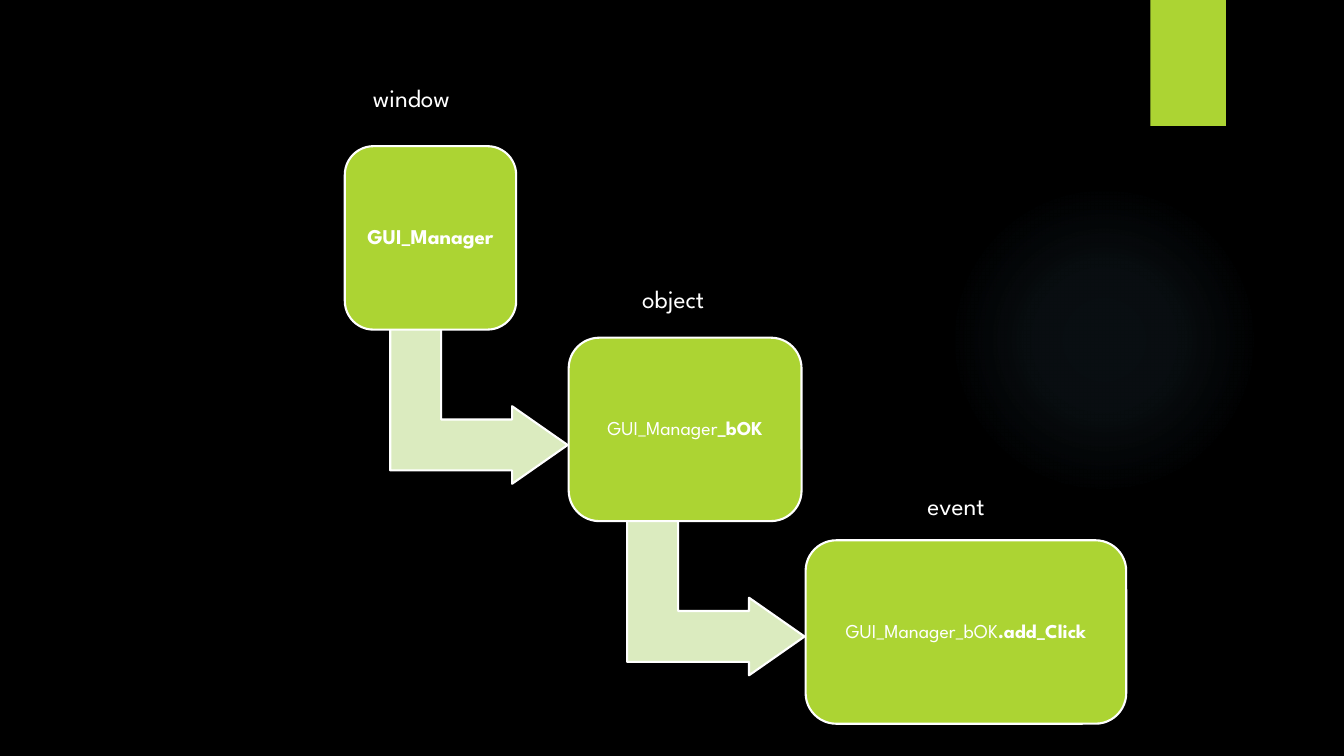
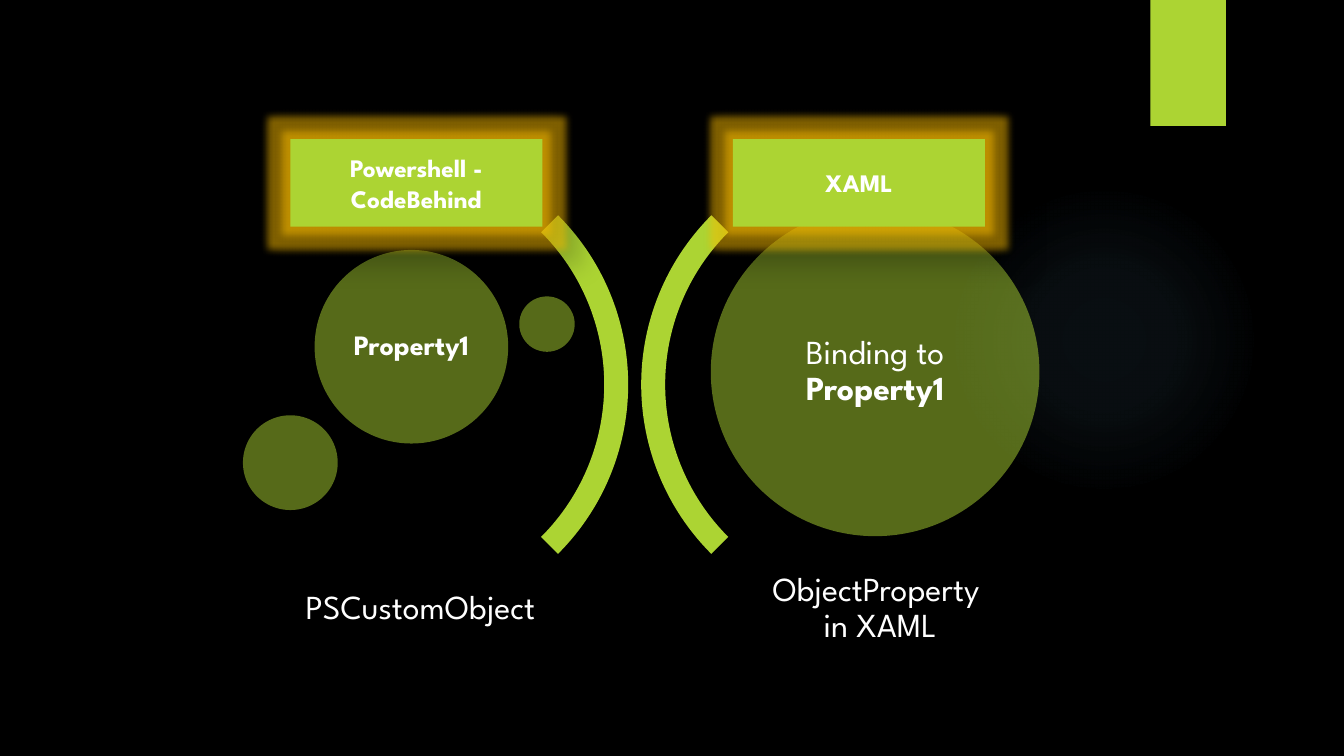
"""Builds two dark slides: a naming cascade and a property binding diagram."""
from lxml import etree
from pptx import Presentation
from pptx import util as u
from pptx.dml.color import RGBColor
from pptx.enum import shapes, text
from pptx.oxml import ns

PX = 9144
SLIDE_SIZE = (1333, 750)
FONT = "League Spartan"
BLACK = RGBColor(0x00, 0x00, 0x00)
WHITE = RGBColor(0xFF, 0xFF, 0xFF)
LIME = RGBColor(0xAC, 0xD4, 0x33)
PALE_LIME = RGBColor(0xDB, 0xEB, 0xBF)
SKY = RGBColor(0x7A, 0xC4, 0xF0)
GOLD = RGBColor(0xFF, 0xC0, 0x00)
MSO = shapes.MSO_SHAPE

HALO = (941, 183, 308, 308)
HALO_STOPS = [(0, 7), (36, 6), (69, 0)]
TAB = (1141, 0, 75, 125)

STEPS = [
    ((342, 145, 170, 182), 15, [("GUI_Manager", True)]),
    ((564, 335, 231, 182), 14, [("GUI_Manager", False), ("_bOK", True)]),
    ((799, 536, 318, 182), 14, [("GUI_Manager_bOK", False), (".add_Click", True)]),
]
STEP_LABELS = [
    ((360, 77, 117, 40), "window"),
    ((627, 276, 100, 40), "object"),
    ((910, 482, 91, 40), "event"),
]
ARROW_SIZE = (154, 176)
ARROW_ADJ = (0.328, 0.25, 0.358)

ARCS = [((148, 144, 475, 475), 90), ((636, 144, 475, 475), 270)]
ARC_ADJ = (135, 189, 0.05)
CIRCLES = [
    ((705, 206, 326), 24, 0, [("Binding to ", False), ("Property1", True)]),
    ((312, 248, 192), 20, 8, [("Property1", True)]),
    ((241, 412, 94), 0, 0, []),
    ((515, 294, 55), 0, 0, []),
]
CAPTIONS = [
    ((693, 556, 360, 95), "ObjectProperty \nin XAML"),
    ((237, 556, 360, 95), "PSCustomObject"),
]
HEADERS = [
    ((288, 138, 250, 87), "Powershell -\nCodeBehind"),
    ((727, 138, 250, 87), "XAML"),
]


def add_xml(parent, tag, **attrs):
    el = etree.SubElement(parent, ns.qn(tag))
    for name, value in attrs.items():
        el.set(name, str(value))
    return el


def add_color(parent, color, percent):
    clr = add_xml(parent, "a:srgbClr", val=color)
    add_xml(clr, "a:alpha", val=percent * 1000)


def add_shape(slide, kind, box, fill=LIME, line=None, adj=(), rotation=0):
    sp = slide.shapes.add_shape(kind, *(n * PX for n in box))
    sp.shadow.inherit = False
    sp.rotation = rotation
    sp.fill.solid()
    sp.fill.fore_color.rgb = fill
    if line is None:
        sp.line.fill.background()
    else:
        sp.line.color.rgb = line
        sp.line.width = u.Pt(1.5)
    for i, value in enumerate(adj):
        sp.adjustments[i] = value
    return sp


def add_textbox(slide, box):
    return slide.shapes.add_textbox(*(n * PX for n in box))


def write(sp, runs, size, inset=None, spacing=None,
          align=text.PP_ALIGN.CENTER, anchor=text.MSO_ANCHOR.MIDDLE):
    tf = sp.text_frame
    tf.word_wrap = True
    tf.vertical_anchor = anchor
    if inset is not None:
        tf.margin_left = tf.margin_top = tf.margin_right = tf.margin_bottom = inset * PX
    p = tf.paragraphs[0]
    p.alignment = align
    if spacing:
        p.line_spacing = spacing
    for content, bold in runs:
        for i, part in enumerate(content.split("\n")):
            if i:
                p.add_line_break()
            r = p.add_run()
            r.text = part
            r.font.name = FONT
            r.font.size = u.Pt(size)
            r.font.bold = bold
            r.font.color.rgb = WHITE


def set_halo_fill(sp):
    solid = sp.fill.fore_color and sp._element.spPr.find(ns.qn("a:solidFill"))
    grad = etree.Element(ns.qn("a:gradFill"), rotWithShape="1")
    stops = add_xml(grad, "a:gsLst")
    for pos, alpha in HALO_STOPS:
        add_color(add_xml(stops, "a:gs", pos=pos * 1000), SKY, alpha)
    circle = add_xml(grad, "a:path", path="circle")
    add_xml(circle, "a:fillToRect", l=50000, t=50000, r=50000, b=50000)
    solid.getparent().replace(solid, grad)


def add_glow(sp):
    effects = sp._element.spPr.find(ns.qn("a:effectLst"))
    add_color(add_xml(effects, "a:glow", rad=u.Pt(11)), GOLD, 50)
    shadow = add_xml(effects, "a:outerShdw", blurRad=u.Pt(15), dist=u.Pt(18), dir=45 * 60000)
    add_color(shadow, BLACK, 30)


def add_slide(prs):
    s = prs.slides.add_slide(prs.slide_layouts[6])
    set_halo_fill(add_shape(s, MSO.OVAL, HALO))
    add_shape(s, MSO.RECTANGLE, TAB)
    return s


def build_cascade(prs):
    s = add_slide(prs)
    w, h = ARROW_SIZE
    for (box, _, _), (target, _, _) in zip(STEPS, STEPS[1:]):
        center_x = target[0] - 1 - h // 2
        center_y = box[1] + box[3] - 1 + w // 2
        add_shape(s, MSO.BENT_UP_ARROW, (center_x - w // 2, center_y - h // 2, w, h),
                  PALE_LIME, WHITE, ARROW_ADJ, 90)
    for box, size, runs in STEPS:
        sp = add_shape(s, MSO.ROUNDED_RECTANGLE, box, line=WHITE, adj=(0.167,))
        write(sp, runs, size, inset=6, spacing=0.9)
    for box, label in STEP_LABELS:
        write(add_textbox(s, box), [(label, False)], 18,
              align=text.PP_ALIGN.LEFT, anchor=text.MSO_ANCHOR.TOP)


def build_binding(prs):
    s = add_slide(prs)
    for box, rotation in ARCS:
        add_shape(s, MSO.BLOCK_ARC, box, adj=ARC_ADJ, rotation=rotation)
    for (x, y, d), size, inset, runs in CIRCLES:
        sp = add_shape(s, MSO.OVAL, (x, y, d, d))
        clr = sp._element.spPr.find(ns.qn("a:solidFill"))[0]
        add_xml(clr, "a:alpha", val=50000)
        write(sp, runs, size, inset=inset, spacing=0.9)
    for box, caption in CAPTIONS:
        write(add_textbox(s, box), [(caption, False)], 24, inset=10, spacing=0.9)
    for box, title in HEADERS:
        sp = add_shape(s, MSO.RECTANGLE, box)
        add_glow(sp)
        write(sp, [(title, True)], 18)


def main():
    prs = Presentation()
    prs.slide_width, prs.slide_height = (n * PX for n in SLIDE_SIZE)
    background = prs.slide_master.background.fill
    background.solid()
    background.fore_color.rgb = BLACK
    build_cascade(prs)
    build_binding(prs)
    prs.save("out.pptx")


if __name__ == "__main__":
    main()
